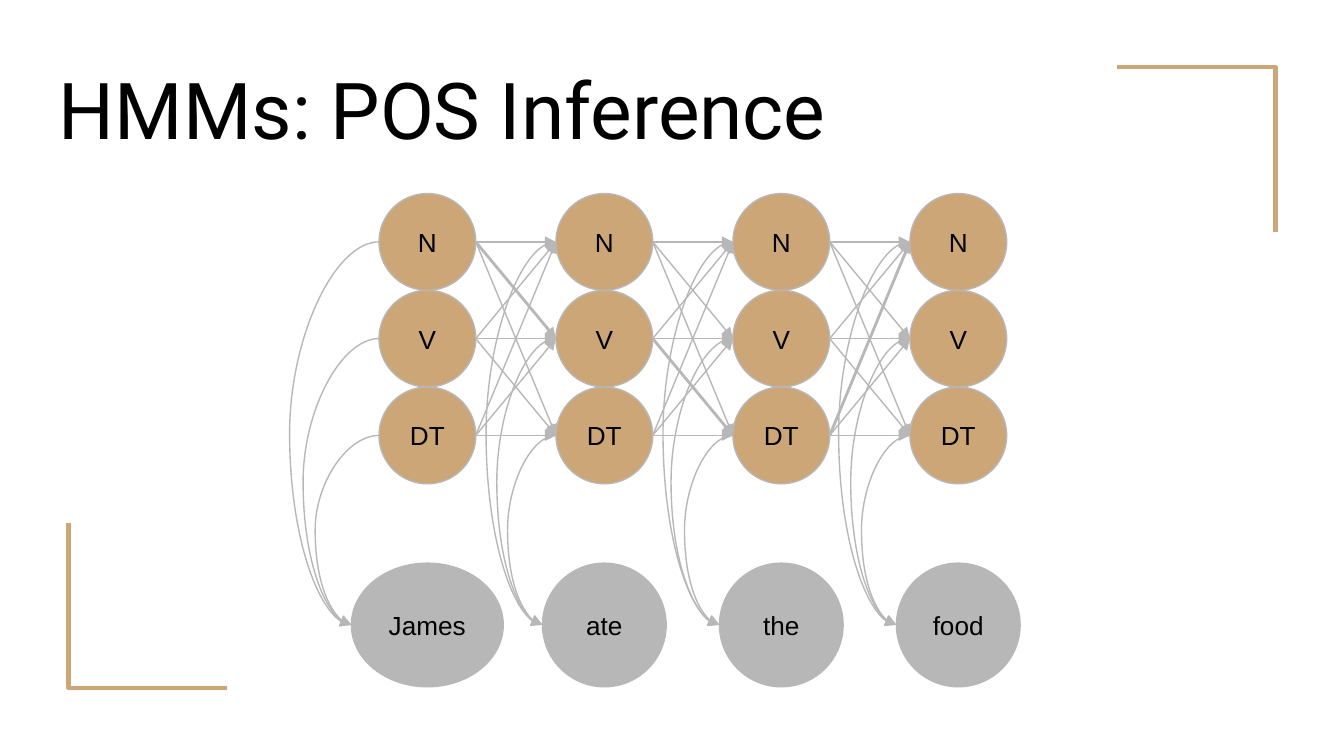
from itertools import product
from lxml.etree import SubElement
from pptx import Presentation
from pptx.dml.color import RGBColor
from pptx.enum.shapes import MSO_CONNECTOR as CXN, MSO_SHAPE as SHAPE
from pptx.enum.text import MSO_ANCHOR as ANCHOR, PP_ALIGN as ALIGN
from pptx.oxml.ns import qn
from pptx.util import Inches, Pt

TAN = RGBColor(0xCC, 0xA6, 0x77)
GRAY = RGBColor(0xB7, 0xB7, 0xB7)
BLACK = RGBColor(0, 0, 0)

TAGS = ["N", "V", "DT"]
WORDS = [
    ("James", 1.13, (0.46, 0.36, 0.27)),
    ("ate", 0.92, (0.42, 0.34, 0.26)),
    ("the", 0.92, (0.42, 0.36, 0.26)),
    ("food", 0.92, (0.43, 0.34, 0.26)),
]
BEST_STEPS = [("N", "V"), ("V", "DT"), ("DT", "N")]
STATE = 0.72
WORD_HEIGHT = 0.92


def set_text(s, text, size, font, align):
    tf = s.text_frame
    margins = ("margin_left", "margin_right", "margin_top", "margin_bottom")
    frame = dict.fromkeys(margins, Inches(0.1))
    frame["vertical_anchor"] = ANCHOR.MIDDLE
    for name, value in frame.items():
        setattr(tf, name, value)
    p = tf.paragraphs[0]
    p.alignment = align
    r = p.add_run()
    r.text = text
    for name, value in {"size": Pt(size), "name": font}.items():
        setattr(r.font, name, value)
    r.font.color.rgb = BLACK


def add_title(sl, box, text):
    tb = sl.shapes.add_textbox(*map(Inches, box))
    tb.text_frame.word_wrap = True
    set_text(tb, text, 42, "Roboto", ALIGN.LEFT)


def add_bracket(sl, box, corner):
    x, y, w, h = box
    right, bottom = x + w, y + h
    points = {
        "top right": [(right, bottom), (right, y), (x, y)],
        "bottom left": [(x, y), (x, bottom), (right, bottom)],
    }[corner]
    fb = sl.shapes.build_freeform(*map(Inches, points[0]), scale=1.0)
    fb.add_line_segments([tuple(map(Inches, pt)) for pt in points[1:]], close=False)
    s = fb.convert_to_shape()
    s.shadow.inherit = False
    s.fill.background()
    s.line.color.rgb = TAN
    s.line.width = Pt(2.25)


def add_node(sl, cx, cy, w, h, text, color):
    s = sl.shapes.add_shape(
        SHAPE.OVAL, *map(Inches, (cx - w / 2, cy - h / 2, w, h)))
    s.shadow.inherit = False
    s.fill.solid()
    s.fill.fore_color.rgb = color
    s.line.color.rgb = GRAY
    s.line.width = Pt(0.75)
    set_text(s, text, 14, "Arial", ALIGN.CENTER)
    s.text_frame.word_wrap = False


def add_arrow(sl, kind, start, end, width, arrow_end):
    c = sl.shapes.add_connector(kind, *map(Inches, (*start, *end)))
    c.line.color.rgb = GRAY
    c.line.width = Pt(width)
    sp_pr = c._element.spPr
    SubElement(sp_pr.find(qn("a:ln")), qn(f"a:{arrow_end}"), type="triangle")
    SubElement(sp_pr, qn("a:effectLst"))
    return sp_pr


def add_emission(sl, word_edge, state_edge, bulge):
    sp_pr = add_arrow(sl, CXN.CURVE, word_edge, state_edge, 0.75, "headEnd")
    share = -bulge / (state_edge[0] - word_edge[0])
    av = sp_pr.find(qn("a:prstGeom")).find(qn("a:avLst"))
    SubElement(av, qn("a:gd"), name="adj1", fmla=f"val {round(share * 100000)}")


def add_trellis(sl, box):
    x, y, w, h = box
    pitch = (w - STATE) / (len(WORDS) - 1)
    columns = [x + STATE / 2 + i * pitch for i in range(len(WORDS))]
    rows = {tag: y + STATE * (i + 0.5) for i, tag in enumerate(TAGS)}
    word_y = y + h - WORD_HEIGHT / 2

    for cx, (word, width, _) in zip(columns, WORDS):
        add_node(sl, cx, word_y, width, WORD_HEIGHT, word, GRAY)
        for tag, cy in reversed(rows.items()):
            add_node(sl, cx, cy, STATE, STATE, tag, TAN)

    for left, right, best in zip(columns, columns[1:], BEST_STEPS):
        for step in product(TAGS, repeat=2):
            start = (left + STATE / 2, rows[step[0]])
            end = (right - STATE / 2, rows[step[1]])
            add_arrow(sl, CXN.STRAIGHT, start, end,
                      1.5 if step == best else 0.75, "tailEnd")

    for cx, (_, width, bulges) in zip(columns, WORDS):
        for cy, bulge in zip(rows.values(), bulges):
            add_emission(sl, (cx - width / 2, word_y), (cx - STATE / 2, cy), bulge)


def main():
    prs = Presentation()
    prs.slide_width = Inches(10)
    prs.slide_height = prs.slide_width * 9 // 16
    sl = prs.slides.add_slide(prs.slide_layouts[6])
    add_bracket(sl, (8.31, 0.5, 1.18, 1.23), "top right")
    add_bracket(sl, (0.51, 3.89, 1.18, 1.23), "bottom left")
    add_title(sl, (0.34, 0.35, 9.32, 0.91), "HMMs: POS Inference")
    add_trellis(sl, (2.82, 1.44, 4.67, 3.67))
    prs.save("out.pptx")


if __name__ == "__main__":
    main()
